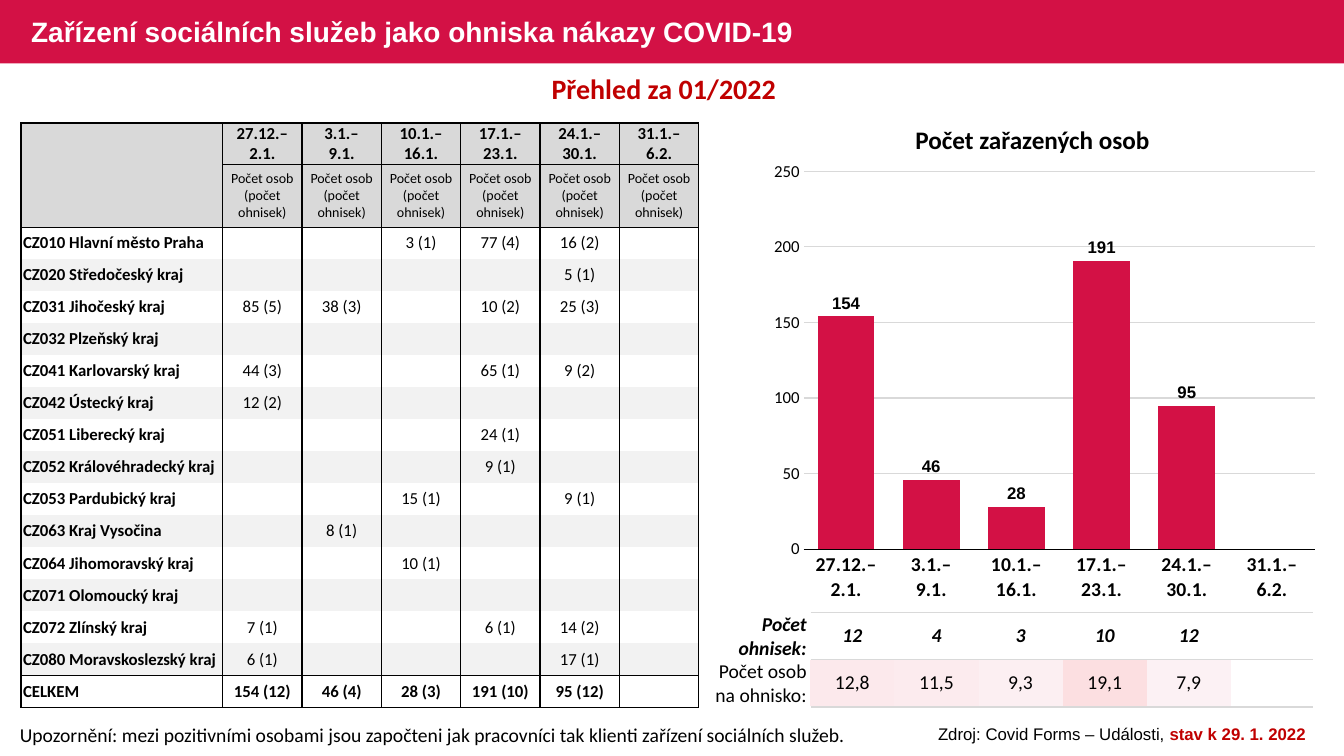
"""Build a slide on social care homes as COVID-19 outbreak sites."""
from lxml.etree import SubElement
from pptx import Presentation
from pptx.chart.data import CategoryChartData
from pptx.dml.color import RGBColor
from pptx.enum.chart import XL_CHART_TYPE, XL_LABEL_POSITION, XL_TICK_MARK
from pptx.enum.shapes import MSO_SHAPE
from pptx.enum.text import MSO_ANCHOR, PP_ALIGN
from pptx.oxml import parse_xml
from pptx.oxml.ns import nsdecls, qn
from pptx.util import Cm, Pt

TITLE = "Zařízení sociálních služeb jako ohniska nákazy COVID-19"
HEAD = "Přehled za 01/2022 "
NOTE = ("Upozornění: mezi pozitivními osobami jsou započteni jak pracovníci "
        "tak klienti zařízení sociálních služeb.")
SOURCE = ["Zdroj: Covid Forms – Události, ", "stav k 29. 1. 2022"]
CAPTION = "Počet zařazených osob"
WEEKS = ["27.12.–\n2.1.", "3.1.–\n9.1.", "10.1.–\n16.1.",
         "17.1.–\n23.1.", "24.1.–\n30.1.", "31.1.–\n6.2."]
UNIT = "Počet osob (počet ohnisek)"
REGIONS = [
    ("CZ010 Hlavní město Praha", "", "", "3 (1)", "77 (4)", "16 (2)", ""),
    ("CZ020 Středočeský kraj", "", "", "", "", "5 (1)", ""),
    ("CZ031 Jihočeský kraj", "85 (5)", "38 (3)", "", "10 (2)", "25 (3)", ""),
    ("CZ032 Plzeňský kraj", "", "", "", "", "", ""),
    ("CZ041 Karlovarský kraj", "44 (3)", "", "", "65 (1)", "9 (2)", ""),
    ("CZ042 Ústecký kraj", "12 (2)", "", "", "", "", ""),
    ("CZ051 Liberecký kraj", "", "", "", "24 (1)", "", ""),
    ("CZ052 Královéhradecký kraj", "", "", "", "9 (1)", "", ""),
    ("CZ053 Pardubický kraj", "", "", "15 (1)", "", "9 (1)", ""),
    ("CZ063 Kraj Vysočina", "", "8 (1)", "", "", "", ""),
    ("CZ064 Jihomoravský kraj", "", "", "10 (1)", "", "", ""),
    ("CZ071 Olomoucký kraj", "", "", "", "", "", ""),
    ("CZ072 Zlínský kraj", "7 (1)", "", "", "6 (1)", "14 (2)", ""),
    ("CZ080 Moravskoslezský kraj", "6 (1)", "", "", "", "17 (1)", ""),
]
TOTAL = ("CELKEM", "154 (12)", "46 (4)", "28 (3)", "191 (10)", "95 (12)", "")
PEOPLE = [154, 46, 28, 191, 95, None]
LABELS = ["Počet ohnisek:", "Počet osob na ohnisko:"]
RATIOS = [("12", "4", "3", "10", "12", ""),
          ("12,8", "11,5", "9,3", "19,1", "7,9", "")]
TINTS = ["FCE9EC", "FCEBEE", "FCEFF2", "FCDFE1", "FCF1F4", None]
CHART = (19.2, 3.84, 14.25, 11.56)
PLOT = (1.05, 0.48, 12.88, 9.52)
RED, DARK, BLACK, WHITE = "D31145", "C00000", "000000", "FFFFFF"
GRAY, PALE = "D9D9D9", "F2F2F2"


def paint(target, tone):
    """Set a solid fill, or none."""
    if tone:
        target.fill.solid()
        target.fill.fore_color.rgb = RGBColor.from_string(tone)
    else:
        target.fill.background()


def style(font, size, tone=BLACK, bold=False, name="Calibri", italic=False):
    """Set the look of a font."""
    font.size, font.name, font.bold, font.italic = Pt(size), name, bold, italic
    font.color.rgb = RGBColor.from_string(tone)


def write(slide, box, parts, size, align=PP_ALIGN.LEFT, **look):
    """Add a one-paragraph text box and return the paragraph."""
    frame = slide.shapes.add_textbox(*map(Cm, box)).text_frame
    frame.word_wrap = True
    para = frame.paragraphs[0]
    para.alignment = align
    for part in parts:
        para.add_run().text = part
    style(para.font, size, **look)
    return para


def edge(cell, tone, sides):
    """Draw the given sides of a cell, by width in points, and clear the rest."""
    props = cell._tc.get_or_add_tcPr()
    for side in "LRTB":
        width = sides.get(side, 0)
        line = SubElement(props, qn(f"a:ln{side}"), w=str(int(Pt(width))))
        if width:
            solid = SubElement(line, qn("a:solidFill"))
            SubElement(solid, qn("a:srgbClr"), val=tone)
        else:
            SubElement(line, qn("a:noFill"))


def fill(cell, text, size, align=PP_ALIGN.CENTER, left=0.03, right=0.03, **look):
    """Write the text of a table cell."""
    cell.margin_left, cell.margin_right = Cm(left), Cm(right)
    cell.margin_top = cell.margin_bottom = 0
    cell.vertical_anchor = MSO_ANCHOR.MIDDLE
    para = cell.text_frame.paragraphs[0]
    para.text = text
    para.alignment = align
    style(para.font, size, **look)


def grid(slide, left, top, cols, rows):
    """Add a plain table with the given column widths and row heights."""
    table = slide.shapes.add_table(len(rows), len(cols), Cm(left), Cm(top),
                                   Cm(sum(cols)), Cm(sum(rows))).table
    table.first_row = table.horz_banding = False
    for col, width in zip(table.columns, cols):
        col.width = Cm(width)
    for row, height in zip(table.rows, rows):
        row.height = Cm(height)
    return table


def add_regions(slide):
    """Add the table of regions by week."""
    rows = [("", *WEEKS), ("", *[UNIT] * len(WEEKS)), *REGIONS, TOTAL]
    last = len(rows) - 1
    heads = [1.04, 1.58]
    step = (14.73 - sum(heads)) / (last - 1)
    table = grid(slide, 0.53, 3.1, [5.08] + [2] * len(WEEKS),
                 heads + [step] * (last - 1))
    tops = {0: 1, 1: 1, 2: 0.5, last: 1}
    for r, row in enumerate(rows):
        tone = GRAY if r < 2 else PALE if r % 2 and r < last else None
        for c, text in enumerate(row):
            cell = table.cell(r, c)
            sides = {"L": 1, "R": 1, "T": tops.get(r, 0),
                     "B": 1 if r == last else tops.get(r + 1, 0)}
            if c == 0 and r < 2:
                sides["T" if r else "B"] = 0
            edge(cell, BLACK, sides)
            paint(cell, tone)
            fill(cell, text, 10 if r == 1 else 12,
                 PP_ALIGN.CENTER if c else PP_ALIGN.LEFT, left=0.03 if c else 0.05,
                 bold=r in (0, last) or c == 0)


def add_ratios(slide):
    """Add the table of outbreaks and people per outbreak."""
    table = grid(slide, 20.42, 15.44, [2.12] * len(WEEKS), [1.18, 1.18])
    for r, row in enumerate(RATIOS):
        for c, text in enumerate(row):
            cell = table.cell(r, c)
            edge(cell, GRAY, {})
            paint(cell, TINTS[c] if r else None)
            fill(cell, text, 14, bold=r == 0, italic=r == 0)


def add_labels(slide):
    """Add the ruled table that names the rows of ratios."""
    table = grid(slide, 17.88, 15.44, [2.55] + [1.81] * 7, [1.18, 1.18])
    for r, label in enumerate(LABELS):
        for c in range(len(table.columns)):
            cell = table.cell(r, c)
            edge(cell, GRAY, {"T": 1, "B": 1} if c else {})
            paint(cell, None)
            fill(cell, "" if c else label, 14, PP_ALIGN.RIGHT, right=0.1,
                 bold=r == 0, italic=r == 0)


def add_columns(slide):
    """Add the column chart of people by week."""
    data = CategoryChartData()
    data.categories = WEEKS
    data.add_series("Series 1", PEOPLE)
    chart = slide.shapes.add_chart(XL_CHART_TYPE.COLUMN_CLUSTERED,
                                   *map(Cm, CHART), data).chart
    chart.has_legend = chart.has_title = False
    style(chart.font, 14, bold=True, name="Arial")
    plot = chart.plots[0]
    plot.gap_width, plot.vary_by_categories = 50, False
    paint(plot.series[0].format, RED)
    labels = plot.series[0].data_labels
    labels.show_value, labels.position = True, XL_LABEL_POSITION.OUTSIDE_END
    style(labels.font, 12, bold=True, name="Arial")
    cat, val = chart.category_axis, chart.value_axis
    for axis, size in ((cat, 14), (val, 12)):
        axis.major_tick_mark = axis.minor_tick_mark = XL_TICK_MARK.NONE
        style(axis.tick_labels.font, size, bold=axis is cat)
    val.minimum_scale, val.maximum_scale, val.major_unit = 0, 250, 50
    val.format.line.fill.background()
    for line, tone in ((cat.format.line, BLACK), (val.major_gridlines.format.line, GRAY)):
        paint(line, tone)
        line.width = Pt(0.75)
    area = chart._chartSpace.chart.plotArea
    for old in area.findall(qn("c:layout")):
        area.remove(old)
    spots = "".join(f'<c:{key} val="{part / whole}"/>'
                    for key, part, whole in zip("xywh", PLOT, CHART[2:] * 2))
    area.insert(0, parse_xml(
        f'<c:layout {nsdecls("c")}><c:manualLayout><c:layoutTarget val="inner"/>'
        f'<c:xMode val="edge"/><c:yMode val="edge"/>{spots}</c:manualLayout></c:layout>'))


def main():
    """Build and save the slide."""
    deck = Presentation()
    deck.slide_width, deck.slide_height = Cm(33.87), Cm(19.05)
    slide = deck.slides.add_slide(deck.slide_layouts[5])
    title = slide.shapes.title
    band = slide.shapes.add_shape(MSO_SHAPE.RECTANGLE, 0, 0, deck.slide_width, Cm(1.6))
    band.shadow.inherit = False
    paint(band, RED)
    band.line.fill.background()
    title.element.addprevious(band.element)
    title.left, title.top, title.width, title.height = map(Cm, (0.53, 0.05, 20.65, 1.6))
    title.text_frame.text = TITLE
    title.text_frame.vertical_anchor = MSO_ANCHOR.MIDDLE
    para = title.text_frame.paragraphs[0]
    para.alignment, para.line_spacing = PP_ALIGN.LEFT, 0.9
    style(para.font, 20, WHITE, True, "Arial")
    add_ratios(slide)
    add_regions(slide)
    write(slide, (0.25, 18.08, 21.64, 0.86), [NOTE], 14)
    add_columns(slide)
    write(slide, (19.2, 3.02, 13.64, 1.02), [CAPTION], 18, PP_ALIGN.CENTER, bold=True)
    add_labels(slide)
    write(slide, (0.53, 1.68, 32.56, 1.12), [HEAD], 20, PP_ALIGN.CENTER,
          tone=DARK, bold=True)
    para = write(slide, (22.94, 18.11, 10.67, 0.76), SOURCE, 12, PP_ALIGN.CENTER,
                 name="Arial")
    para.runs[1].font.bold = True
    para.runs[1].font.color.rgb = RGBColor.from_string(DARK)
    deck.save("out.pptx")


if __name__ == "__main__":
    main()
